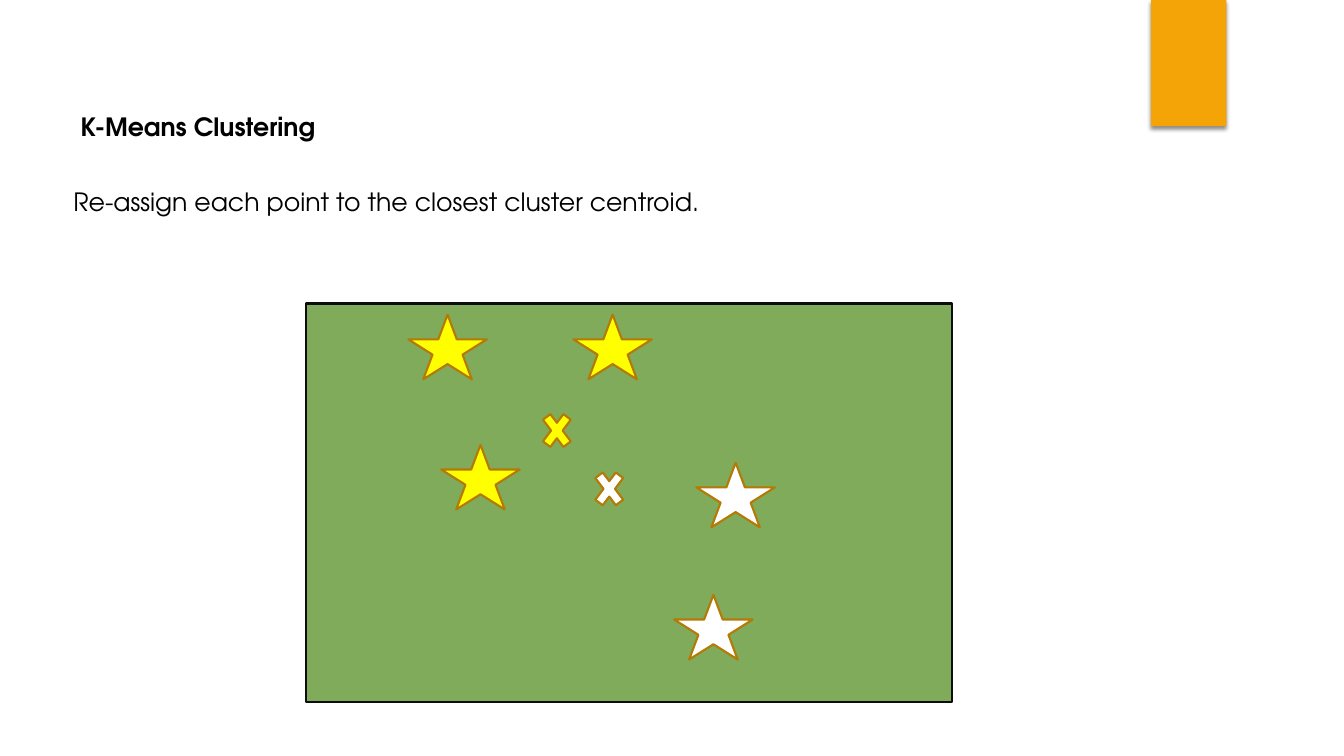
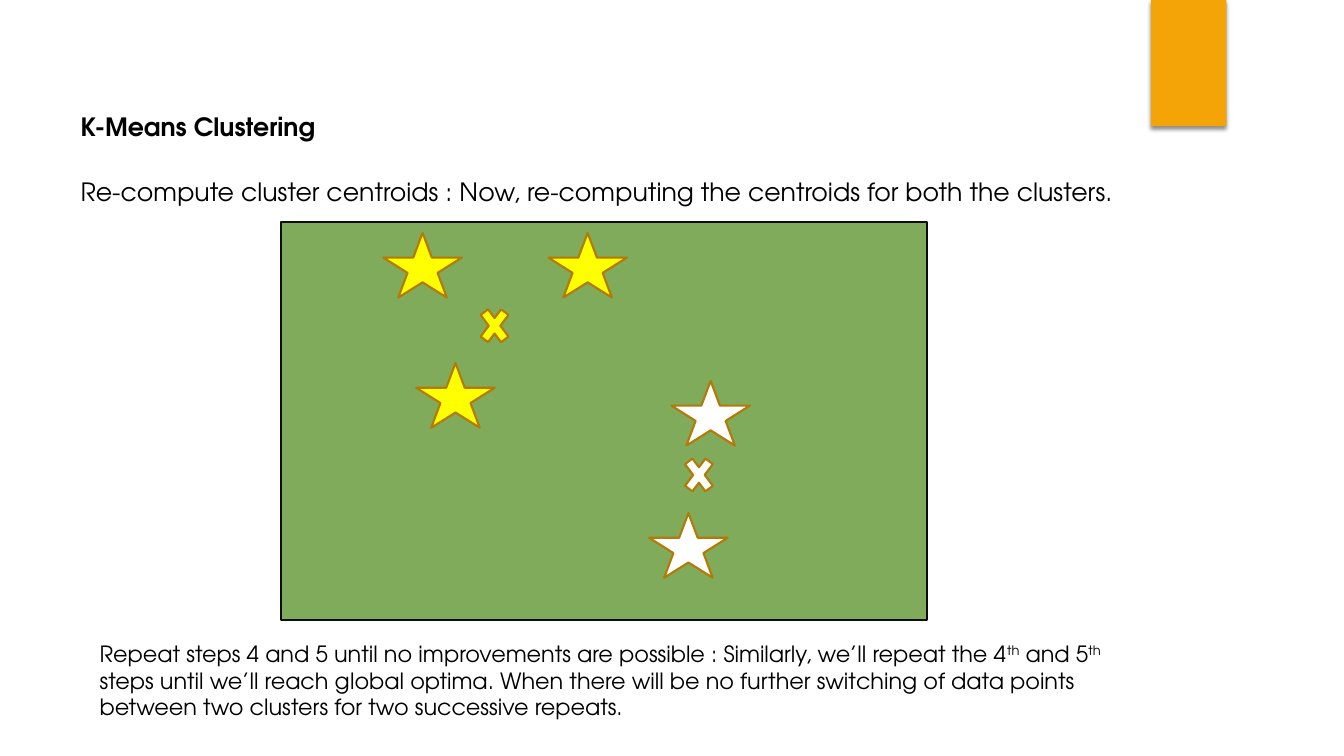
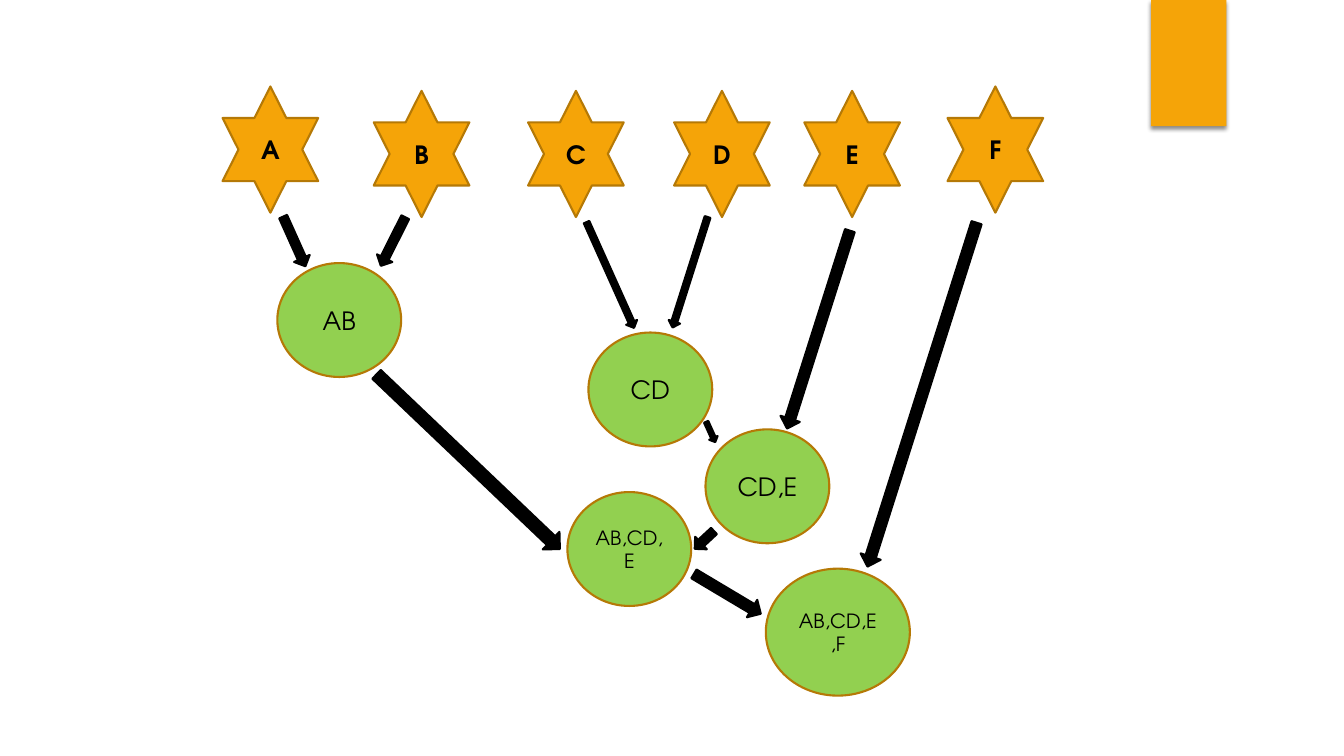
from dataclasses import dataclass

from lxml import etree
from pptx import Presentation
from pptx.dml.color import RGBColor
from pptx.enum.shapes import MSO_SHAPE
from pptx.enum.text import MSO_ANCHOR, MSO_AUTO_SIZE, PP_ALIGN
from pptx.oxml.ns import qn
from pptx.util import Cm, Pt

RECT = MSO_SHAPE.RECTANGLE
STAR = MSO_SHAPE.STAR_5_POINT
BADGE = MSO_SHAPE.STAR_6_POINT
CROSS = MSO_SHAPE.MATH_MULTIPLY
OVAL = MSO_SHAPE.OVAL
ARROW = MSO_SHAPE.RIGHT_ARROW
LEFT = PP_ALIGN.LEFT
CENTER = PP_ALIGN.CENTER
TOP = MSO_ANCHOR.TOP
MIDDLE = MSO_ANCHOR.MIDDLE
GROW = MSO_AUTO_SIZE.SHAPE_TO_FIT_TEXT


@dataclass(frozen=True)
class Theme:
    font: str = "TeX Gyre Adventor"
    body: int = 18
    note: int = 16
    small: int = 14
    edge: float = 1.5
    black: str = "000000"
    white: str = "FFFFFF"
    yellow: str = "FFFF00"
    orange: str = "F5A408"
    brown: str = "B57906"
    field: str = "7FAB5B"
    frame: str = "0D0D0D"
    green: str = "92D050"


theme = Theme()


def draw(shapes, kind, box, fill, line=None):
    shape = shapes.add_shape(kind, *map(Cm, box))
    shape.shadow.inherit = False
    shape.fill.solid()
    shape.fill.fore_color.rgb = RGBColor.from_string(fill)
    if line:
        shape.line.color.rgb = RGBColor.from_string(line)
        shape.line.width = Pt(theme.edge)
    else:
        shape.line.fill.background()
    return shape


def style(frame, size, bold=False, align=LEFT, anchor=TOP, wrap=True):
    frame.word_wrap = wrap
    frame.vertical_anchor = anchor
    for para in frame.paragraphs:
        para.alignment = align
        for run in para.runs:
            run.font.name = theme.font
            run.font.size = Pt(size)
            run.font.bold = bold
            run.font.color.rgb = RGBColor.from_string(theme.black)


deck = Presentation()
deck.slide_width, deck.slide_height = Cm(33.87), Cm(19.05)
titled, blank = deck.slide_layouts[5], deck.slide_layouts[6]

steps = [
    ("Re-assign each point to the closest cluster centroid.",
     (1.6, 4.57), (7.72, 7.65), [(5.82, 2.54), (7.14, 4.01)]),
    ("Re-compute cluster centroids : Now, re-computing the centroids for both the clusters.",
     (1.78, 4.32), (7.09, 5.59), [(4.88, 1.96), (10.03, 5.72)]),
]
points = [
    (2.57, 0.28, theme.yellow),
    (3.4, 3.56, theme.yellow),
    (6.73, 0.28, theme.yellow),
    (9.83, 4.01, theme.white),
    (9.27, 7.34, theme.white),
]

for text, place, (left, top), marks in steps:
    slide = deck.slides.add_slide(titled)
    title = slide.shapes.title
    title.left, title.top, title.width, title.height = map(Cm, (1.78, 2.67, 6.53, 1.02))
    title.text_frame.text = "K-Means Clustering"
    title.text_frame.auto_size = GROW
    style(title.text_frame, theme.body, bold=True, wrap=False)

    body = slide.shapes.add_textbox(*map(Cm, (*place, 26.87, 1.02))).text_frame
    body.text = text
    body.auto_size = GROW
    style(body, theme.body)

    plot = slide.shapes.add_group_shape().shapes
    draw(plot, RECT, (left, top, 16.28, 10.03), theme.field, theme.frame)
    for x, y, fill in points:
        draw(plot, STAR, (left + x, top + y, 1.98, 1.63), fill, theme.brown)
    for (x, y), fill in zip(marks, (theme.yellow, theme.white)):
        draw(plot, CROSS, (left + x, top + y, 0.99, 1.32), fill, theme.brown)

note = slide.shapes.add_textbox(*map(Cm, (2.26, 16, 26.87, 2.31))).text_frame
parts = [
    "Repeat steps 4 and 5 until no improvements are possible : Similarly, we’ll repeat the 4",
    "th",
    " and 5",
    "th",
    " steps until we’ll reach global optima. When there will be no further switching "
    "of data points between two clusters for two successive repeats.",
]
for part in parts:
    run = note.paragraphs[0].add_run()
    run.text = part
    if part == "th":
        run.font._element.set("baseline", "30000")
note.auto_size = GROW
style(note, theme.note)

slide = deck.slides.add_slide(blank)
tree = slide.shapes.add_group_shape().shapes

leaves = [
    ("A", 5.61, 2.18),
    ("B", 9.42, 2.29),
    ("C", 13.31, 2.29),
    ("D", 16.99, 2.29),
    ("E", 20.27, 2.29),
    ("F", 23.88, 2.18),
]
for name, left, top in leaves:
    leaf = draw(tree, BADGE, (left, top, 2.41, 3.18), theme.orange, theme.brown)
    leaf.text_frame.text = name
    style(leaf.text_frame, theme.body, True, CENTER, MIDDLE)

nodes = [
    ("AB", (6.99, 6.63, 3.12, 2.87), theme.body),
    ("CD", (14.83, 8.38, 3.12, 2.87), theme.body),
    ("CD,E", (17.78, 10.82, 3.12, 2.87), theme.body),
    ("AB,CD,E", (14.3, 12.4, 3.12, 2.87), theme.small),
    ("AB,CD,E,F", (19.3, 14.33, 3.63, 3.2), theme.small),
]
for name, box, size in nodes:
    node = draw(tree, OVAL, box, theme.green, theme.brown)
    node.text_frame.text = name
    style(node.text_frame, size, False, CENTER, MIDDLE)

arrows = [
    (6.73, 5.87, 1.37, 0.43, 65.8),
    (9.22, 5.87, 1.37, 0.43, 116.6),
    (13.92, 6.78, 2.92, 0.3, 65.8),
    (15.93, 6.71, 2.92, 0.3, 107.6),
    (18.01, 8.05, 5.23, 0.51, 107.6),
    (17.63, 10.77, 0.56, 0.23, 65.8),
    (8.61, 11.33, 6.38, 0.61, 43.6),
    (17.42, 13.39, 0.66, 0.43, 137.1),
    (17.35, 14.71, 1.96, 0.51, 30.8),
    (18.69, 9.68, 9.09, 0.53, 107.6),
]
for *box, turn in arrows:
    draw(tree, ARROW, box, theme.black, theme.black).rotation = turn

band = draw(slide.shapes, RECT, (29.01, 0, 1.9, 3.18), theme.orange)
glow = band.element.spPr.find(qn("a:effectLst"))
shade = etree.SubElement(glow, qn("a:outerShdw"), blurRad=str(Pt(3)), dist=str(Pt(2)),
                         dir="5400000", rotWithShape="0")
tint = etree.SubElement(shade, qn("a:srgbClr"), val=theme.black)
etree.SubElement(tint, qn("a:alpha"), val="45000")
deck.slide_master.shapes.element.append(band.element)

deck.save("out.pptx")
